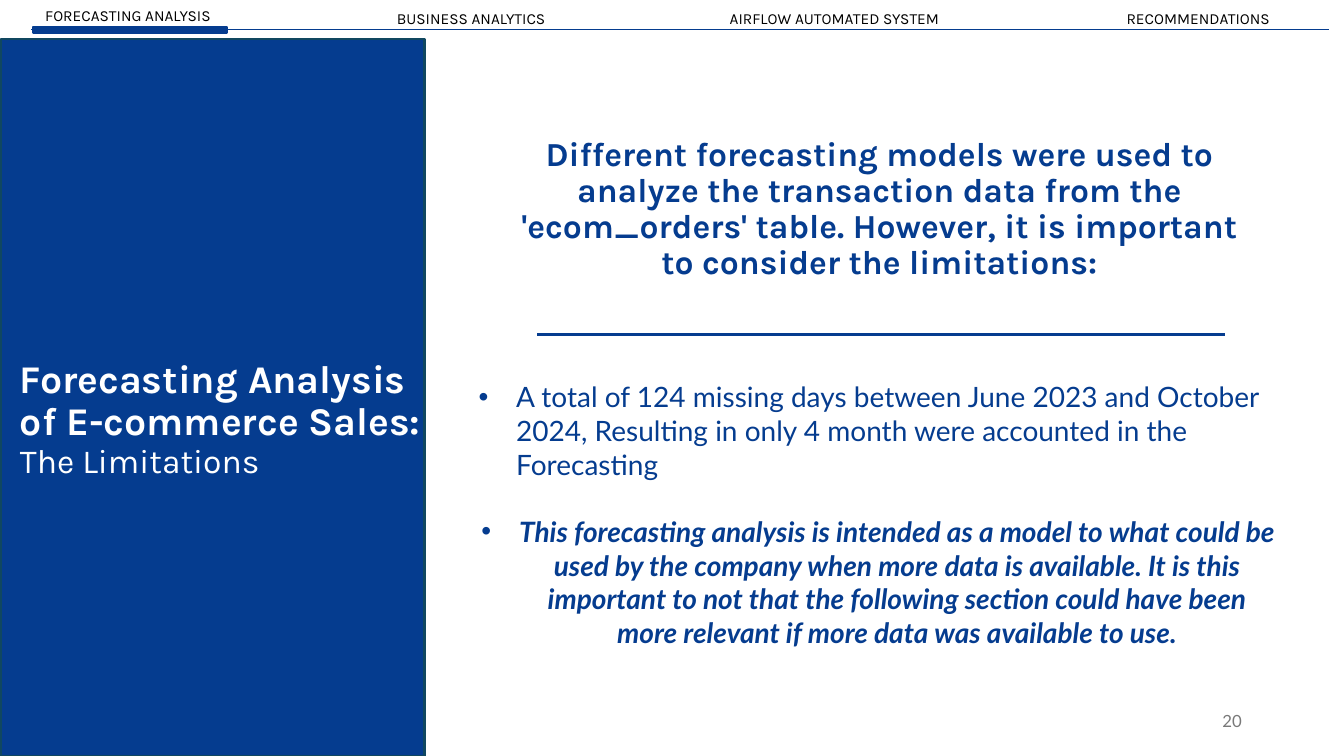
"""Builds the forecasting limitations slide."""
from lxml import etree
from pptx import Presentation
from pptx.dml.color import RGBColor
from pptx.enum.shapes import MSO_CONNECTOR, MSO_SHAPE
from pptx.enum.text import MSO_ANCHOR, MSO_AUTO_SIZE, PP_ALIGN
from pptx.oxml.ns import qn
from pptx.util import Cm, Pt

LEFT, CENTER, RIGHT = PP_ALIGN.LEFT, PP_ALIGN.CENTER, PP_ALIGN.RIGHT
TOP, MIDDLE = MSO_ANCHOR.TOP, MSO_ANCHOR.MIDDLE
NO_FIT = MSO_AUTO_SIZE.NONE
RECT, STRAIGHT = MSO_SHAPE.RECTANGLE, MSO_CONNECTOR.STRAIGHT
BLUE, WHITE, BLACK, GREY, EDGE = "053C8F", "FFFFFF", "000000", "797979", "104760"


def rgb(value):
    return RGBColor.from_string(value)


def write(sp, lines, font, color, anchor=TOP, spacing=1.0, wrap=True):
    tf = sp.text_frame
    tf.auto_size = NO_FIT
    tf.word_wrap = wrap
    tf.vertical_anchor = anchor
    tf.text = "\n".join(line[0] for line in lines)
    for p, (_, size, bold, italic, align) in zip(tf.paragraphs, lines):
        p.alignment = align
        p.line_spacing = spacing
        f = p.runs[0].font
        f.name, f.size, f.bold, f.italic = font, Pt(size), bold, italic
        f.color.rgb = rgb(color)
    return tf


prs = Presentation()
prs.slide_width, prs.slide_height = Cm(33.87), Cm(19.05)
s = prs.slides.add_slide(prs.slide_layouts[5])

rules = [(0.79, 33.5, 0.74, 1), (13.54, 30.86, 8.43, 1.5)]
for x1, x2, y, width in rules:
    line = s.shapes.add_connector(STRAIGHT, Cm(x1), Cm(y), Cm(x2), Cm(y))
    line.line.color.rgb = rgb(BLUE)
    line.line.width = Pt(width)
    etree.SubElement(line._element.spPr, qn("a:effectLst"))

sections = [
    ("FORECASTING ANALYSIS", 0.89, 0.03, 4.83),
    ("BUSINESS ANALYTICS", 9.75, 0.1, 4.29),
    ("AIRFLOW AUTOMATED SYSTEM", 18.14, 0.1, 6.05),
    ("RECOMMENDATIONS", 28.14, 0.1, 4.32),
]
for label, x, y, width in sections:
    sp = s.shapes.add_textbox(Cm(x), Cm(y), Cm(width), Cm(0.74))
    write(sp, [(label, 11, False, False, LEFT)], "Karla", BLACK, wrap=False)

blocks = [
    (0.84, 0.69, 4.88, 0.13, BLUE),
    (0.03, 0.99, 10.67, 18.06, EDGE),
]
for x, y, width, height, edge in blocks:
    sp = s.shapes.add_shape(RECT, Cm(x), Cm(y), Cm(width), Cm(height))
    sp.shadow.inherit = False
    sp.fill.solid()
    sp.fill.fore_color.rgb = rgb(BLUE)
    sp.line.color.rgb = rgb(edge)
    sp.line.width = Pt(1.5)

title = s.shapes.title
title.left, title.top, title.width, title.height = Cm(0.25), Cm(8.23), Cm(11.94), Cm(4.7)
write(title, [
    ("Forecasting Analysis", 28, True, False, LEFT),
    ("of E-commerce Sales:", 28, True, False, LEFT),
    ("The Limitations", 24, False, False, LEFT),
], "Karla", WHITE, MIDDLE, 0.9)
s.shapes._spTree.append(title._element)

sp = s.shapes.add_textbox(Cm(12.42), Cm(3.35), Cm(19.48), Cm(6.02))
intro = (
    "Different forecasting models were used to analyze the transaction data from the "
    "'ecom_orders' table. However, it is important to consider the limitations:"
)
tf = write(sp, [(intro, 24, True, False, CENTER)], "Karla", BLUE, MIDDLE, 0.9)
tf.margin_bottom = Cm(2.28)

sp = s.shapes.add_textbox(Cm(11.81), Cm(9.45), Cm(20.65), Cm(6.9))
missing = (
    "A total of 124 missing days between June 2023 and October 2024, "
    "Resulting in only 4 month were accounted in the Forecasting"
)
intent = (
    "This forecasting analysis is intended as a model to what could be used by the company "
    "when more data is available. It is this important to not that the following section "
    "could have been more relevant if more data was available to use."
)
tf = write(sp, [
    (missing, 20, False, False, LEFT),
    (intent, 20, True, True, CENTER),
], "Lato", BLUE)
tf.paragraphs[1].space_before = Pt(24)
for p in tf.paragraphs:
    pPr = p._p.get_or_add_pPr()
    pPr.set("marL", str(Cm(0.95)))
    pPr.set("indent", str(-Cm(0.95)))
    etree.SubElement(pPr, qn("a:buFont"), typeface="Arial")
    etree.SubElement(pPr, qn("a:buChar"), char="•")

sp = s.shapes.add_textbox(Cm(23.93), Cm(17.65), Cm(7.62), Cm(1.02))
write(sp, [("20", 12, False, False, RIGHT)], "Lato", GREY, MIDDLE)

prs.save("out.pptx")
